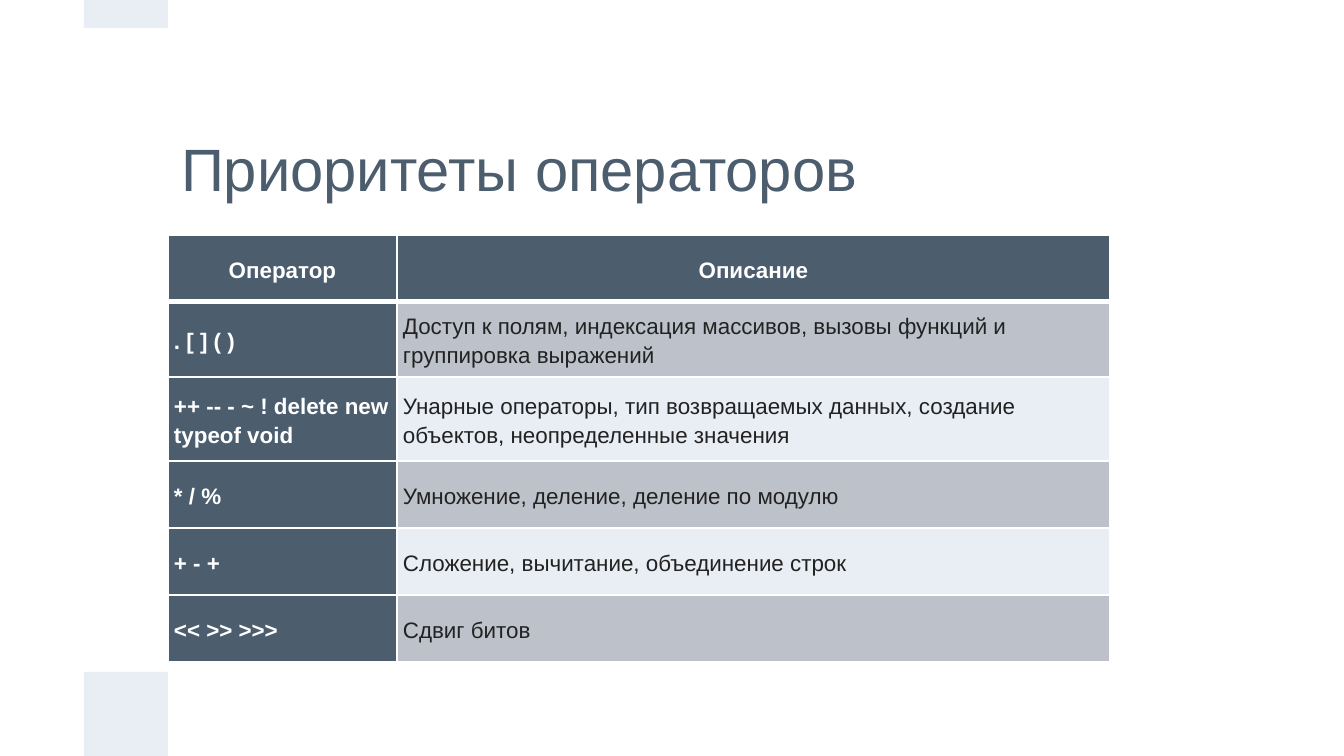
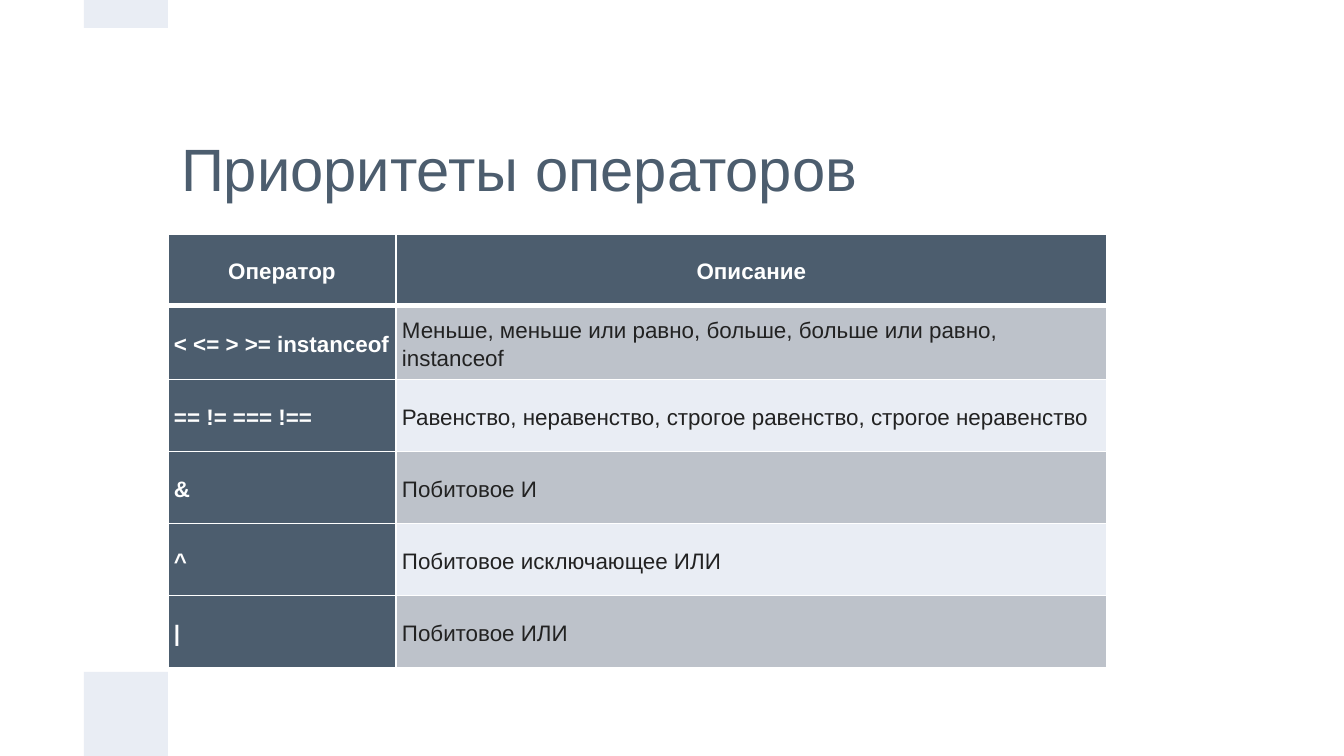
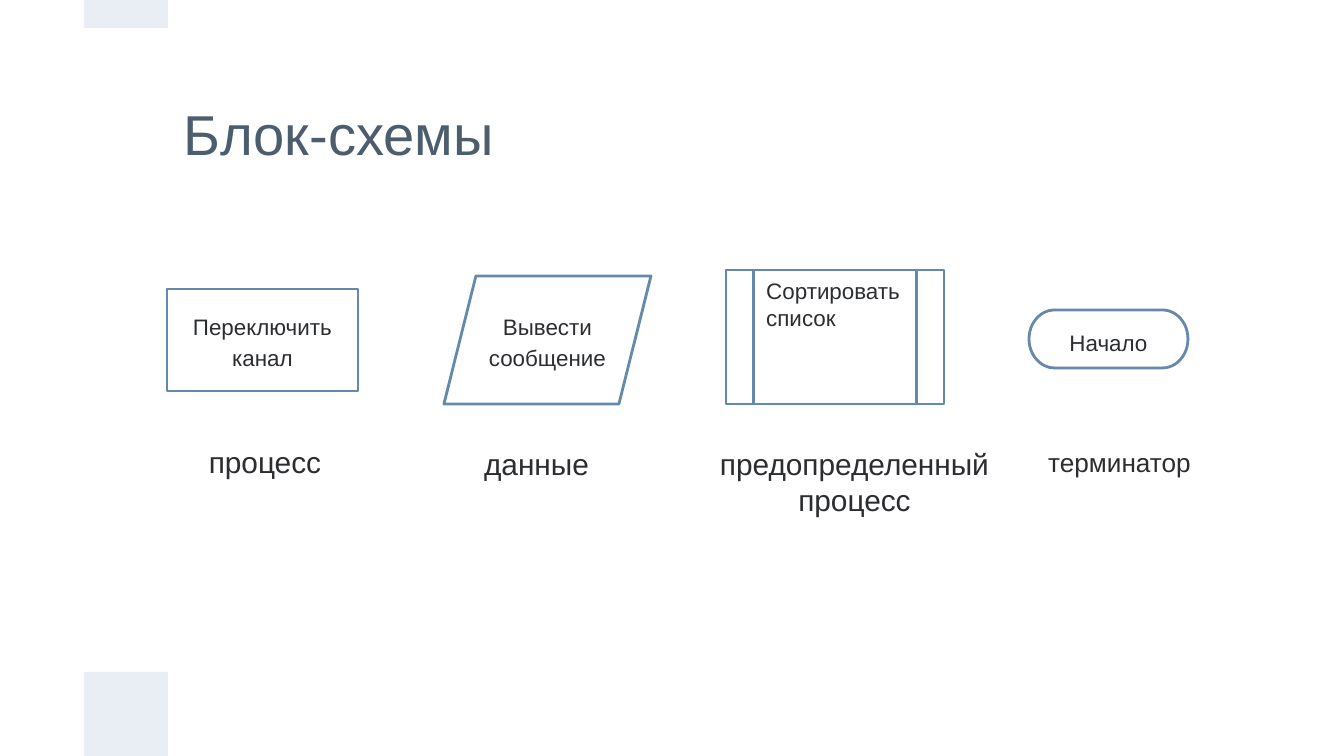
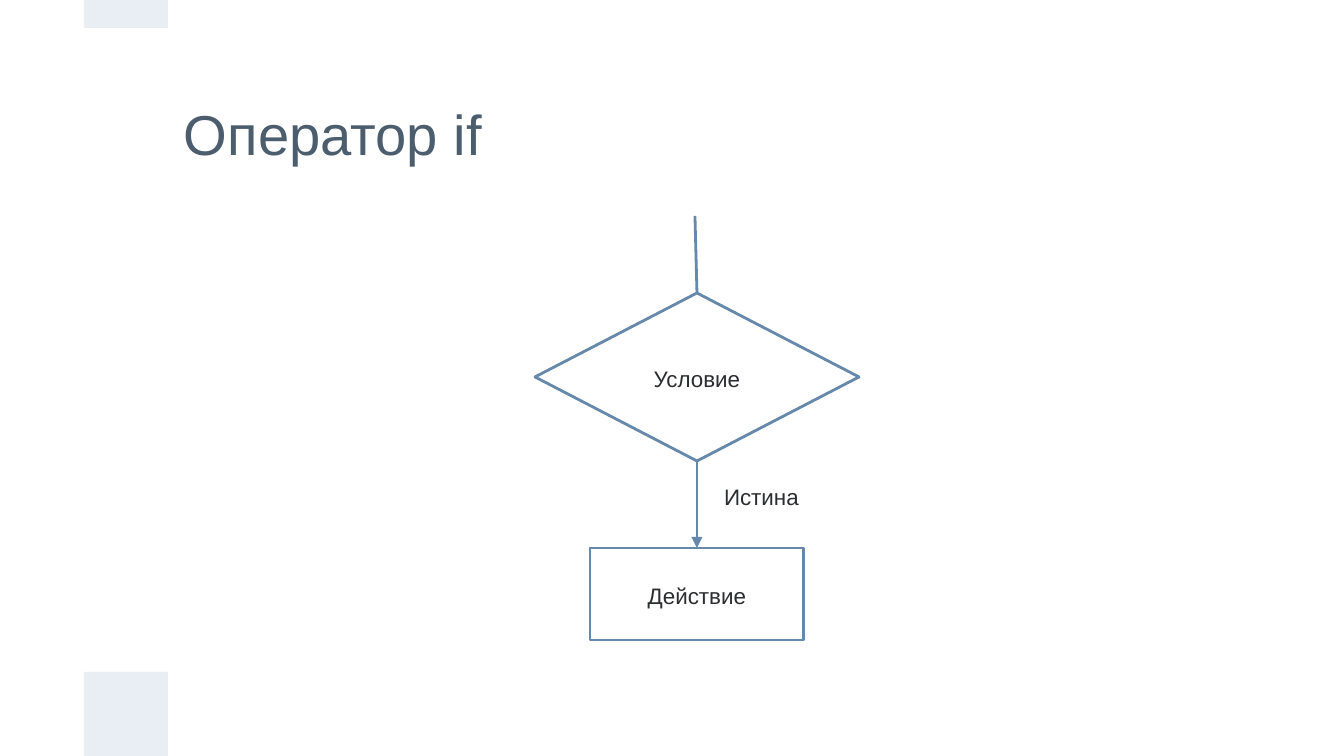
from dataclasses import dataclass

from lxml.etree import SubElement
from pptx import Presentation
from pptx.dml.color import RGBColor
from pptx.enum.shapes import MSO_CONNECTOR, MSO_SHAPE
from pptx.enum.text import MSO_ANCHOR, MSO_AUTO_SIZE, PP_ALIGN
from pptx.oxml.ns import qn
from pptx.util import Emu, Pt

EMU_PER_PX = 914400 / 134.4
TITLE_ONLY = 5
TOP, BOTTOM = 0, 2


def px(length):
    """Turn whole pixels into EMU."""
    return Emu(round(length * EMU_PER_PX))


def box(*lengths):
    """Turn left, top, width and height into EMU."""
    return [px(length) for length in lengths]


@dataclass(frozen=True)
class Theme:
    """Colours and type sizes of the deck."""

    font: str = "Arial"
    slate: str = "4C5D6E"
    pale: str = "E9EDF4"
    grey: str = "BDC2CA"
    white: str = "FFFFFF"
    outline: str = "6588AB"
    ink: str = "2C2D30"
    cell_ink: str = "222222"
    table_title: float = 32
    diagram_title: float = 30.1
    caption: float = 16
    small_caption: float = 14
    text: float = 12
    line: float = 1.5
    border: float = 1
    header_border: float = 3


class Deck:
    """Holds the style and the current slide."""

    def __init__(self, theme):
        """Set up a wide presentation."""
        self.theme = theme
        self.presentation = Presentation()
        self.presentation.slide_width = px(1344)
        self.presentation.slide_height = px(756)
        self.slide = None

    def add_slide(self):
        """Start a slide and give the master its bands the first time."""
        layout = self.presentation.slide_layouts[TITLE_ONLY]
        first = self.slide is None
        self.slide = self.presentation.slides.add_slide(layout)
        if first:
            self.master_band(672, 84, 20)
            self.master_band(0, 28, 21)

    def master_band(self, top, height, shape_id):
        """Place a pale band behind everything on the master."""
        band = self.slide.shapes.add_shape(MSO_SHAPE.RECTANGLE, *box(84, top, 84, height))
        band.shadow.inherit = False
        band.fill.solid()
        band.fill.fore_color.rgb = RGBColor.from_string(self.theme.pale)
        band.line.fill.background()
        band.element.nvSpPr.cNvPr.id = shape_id
        self.presentation.slide_master.shapes.element.insert(2, band.element)

    def add_text(self, frame, text, size, color, align=PP_ALIGN.LEFT, spacing=None, bold=False):
        """Add one formatted run to the first paragraph of a frame."""
        paragraph = frame.paragraphs[0]
        paragraph.alignment = align
        if spacing:
            paragraph.line_spacing = spacing
        run = paragraph.add_run()
        run.text = text
        run.font.name = self.theme.font
        run.font.size = Pt(size)
        run.font.bold = bold
        run.font.color.rgb = RGBColor.from_string(color)
        return paragraph

    def fit(self, frame, anchor, side, edge):
        """Set wrapping, anchor and insets of a frame."""
        frame.word_wrap = True
        frame.auto_size = MSO_AUTO_SIZE.NONE
        frame.vertical_anchor = anchor
        frame.margin_left = frame.margin_right = px(side)
        frame.margin_top = frame.margin_bottom = px(edge)

    def title(self, text, place, size, inset):
        """Move and fill the title placeholder."""
        title = self.slide.shapes.title
        title.left, title.top, title.width, title.height = box(*place)
        self.fit(title.text_frame, MSO_ANCHOR.MIDDLE, inset, inset)
        self.add_text(title.text_frame, text, size, self.theme.slate)

    def table_title(self, text):
        """Title a slide that holds a table."""
        self.title(text, (168, 84, 1008, 168), self.theme.table_title, 13)

    def diagram_title(self, text):
        """Title a slide that holds a diagram."""
        self.title(text, (167, 84, 1343, 98), self.theme.diagram_title, 17)

    def border(self, cell, side, width):
        """Draw one white border of a cell."""
        line = SubElement(cell._tc.get_or_add_tcPr(), qn(f"a:ln{side}"), w=str(Pt(width)))
        fill = SubElement(line, qn("a:solidFill"))
        SubElement(fill, qn("a:srgbClr"), val=self.theme.white)

    def cell(self, cell, text, row, column):
        """Fill and format one cell by its row and column."""
        theme = self.theme
        header = row == 0
        strong = header or column == 0
        cell.margin_left = cell.margin_right = px(6)
        cell.margin_top = cell.margin_bottom = px(8)
        cell.vertical_anchor = MSO_ANCHOR.MIDDLE
        for side in "LRTB" if header else "LRB":
            thick = header and side == "B"
            self.border(cell, side, theme.header_border if thick else theme.border)
        band = theme.grey if row % 2 else theme.pale
        cell.fill.solid()
        cell.fill.fore_color.rgb = RGBColor.from_string(theme.slate if strong else band)
        self.add_text(cell.text_frame, text, theme.text,
                      theme.white if strong else theme.cell_ink,
                      PP_ALIGN.CENTER if header else PP_ALIGN.LEFT, 1.15, strong)

    def table(self, top, widths, heights, operators):
        """Add a table of operators under a header row."""
        rows = [("Оператор", "Описание"), *operators]
        place = box(168, top, sum(widths), sum(heights))
        table = self.slide.shapes.add_table(len(rows), len(widths), *place).table
        for column, width in zip(table.columns, widths):
            column.width = px(width)
        for row, height in zip(table.rows, heights):
            row.height = px(height)
        for row, texts in enumerate(rows):
            for column, text in enumerate(texts):
                self.cell(table.cell(row, column), text, row, column)

    def block(self, kind, place, text, anchor=MSO_ANCHOR.MIDDLE,
              align=PP_ALIGN.CENTER, spacing=1.15):
        """Add an outlined flowchart block and return it with its paragraph."""
        block = self.slide.shapes.add_shape(kind, *box(*place))
        block.shadow.inherit = False
        block.fill.background()
        block.line.color.rgb = RGBColor.from_string(self.theme.outline)
        block.line.width = Pt(self.theme.line)
        self.fit(block.text_frame, anchor, 13, 7)
        paragraph = self.add_text(block.text_frame, text, self.theme.text,
                                  self.theme.ink, align, spacing)
        return block, paragraph

    def label(self, place, text, size, anchor=MSO_ANCHOR.TOP,
              align=PP_ALIGN.CENTER, spacing=None):
        """Add a plain text label."""
        label = self.slide.shapes.add_textbox(*box(*place))
        self.fit(label.text_frame, anchor, 13, 7)
        self.add_text(label.text_frame, text, size, self.theme.ink, align, spacing)

    def connector(self, start, end):
        """Add a straight line between two points."""
        connector = self.slide.shapes.add_connector(
            MSO_CONNECTOR.STRAIGHT, *box(*start, *end))
        connector.line.color.rgb = RGBColor.from_string(self.theme.outline)
        connector.line.width = Pt(self.theme.line)
        SubElement(connector.element.spPr, qn("a:effectLst"))
        return connector

    def arrow(self, start, end):
        """Point an arrow from the bottom of one block to the top of another."""
        arrow = self.connector((0, 0), (0, 0))
        arrow.begin_connect(end, TOP)
        arrow.end_connect(start, BOTTOM)
        SubElement(arrow.line._get_or_add_ln(), qn("a:headEnd"), type="triangle")


def add_priorities(deck, top, widths, heights, operators):
    """Build a slide with operator priorities."""
    deck.add_slide()
    deck.table_title("Приоритеты операторов")
    deck.table(top, widths, heights, operators)


def add_flowchart_blocks(deck):
    """Build the slide with the kinds of flowchart blocks."""
    theme = deck.theme
    deck.add_slide()
    deck.diagram_title("Блок-схемы")
    deck.block(MSO_SHAPE.RECTANGLE, (167, 289, 191, 102), "Переключить канал")
    deck.block(MSO_SHAPE.PARALLELOGRAM, (444, 276, 207, 128), "Вывести сообщение")
    _, sorting = deck.block(MSO_SHAPE.FLOWCHART_PREDEFINED_PROCESS, (726, 270, 218, 134),
                            "Сортировать список", MSO_ANCHOR.TOP, PP_ALIGN.LEFT, None)
    sorting.space_before = Pt(20)
    deck.block(MSO_SHAPE.FLOWCHART_TERMINATOR, (1029, 310, 159, 58), "Начало", MSO_ANCHOR.TOP)
    captions = [
        (167, 196, 46, "процесс", theme.caption, MSO_ANCHOR.MIDDLE),
        (457, 159, 46, "данные", theme.caption, MSO_ANCHOR.TOP),
        (698, 313, 77, "предопределенный процесс", theme.caption, MSO_ANCHOR.TOP),
        (1029, 181, 46, "терминатор", theme.small_caption, MSO_ANCHOR.TOP),
    ]
    for left, width, height, text, size, anchor in captions:
        deck.label((left, 439, width, height), text, size, anchor)


def add_if_operator(deck):
    """Build the slide with the if flowchart."""
    deck.add_slide()
    deck.diagram_title("Оператор if")
    entry = deck.connector((697, 293), (695, 216))
    condition, _ = deck.block(MSO_SHAPE.FLOWCHART_DECISION, (535, 293, 324, 168), "Условие")
    entry.begin_connect(condition, TOP)
    deck.label((711, 472, 106, 46), "Истина", deck.theme.text,
               align=PP_ALIGN.LEFT, spacing=1.15)
    action, _ = deck.block(MSO_SHAPE.RECTANGLE, (590, 548, 214, 92), "Действие")
    deck.arrow(condition, action)


def main():
    """Build and save the deck."""
    deck = Deck(Theme())
    add_priorities(deck, 235, (229, 713), (67, 75, 84, 67, 67, 67), [
        (". [ ] ( )", "Доступ к полям, индексация массивов, вызовы функций и группировка выражений"),
        ("++ -- - ~ ! delete new typeof void",
         "Унарные операторы, тип возвращаемых данных, создание объектов, неопределенные значения"),
        ("* / %", "Умножение, деление, деление по модулю"),
        ("+ - +", "Сложение, вычитание, объединение строк"),
        ("<< >> >>>", "Сдвиг битов"),
    ])
    add_priorities(deck, 234, (228, 711), (72,) * 6, [
        ("< <= > >= instanceof", "Меньше, меньше или равно, больше, больше или равно, instanceof"),
        ("== != === !==", "Равенство, неравенство, строгое равенство, строгое неравенство"),
        ("&", "Побитовое И"),
        ("^", "Побитовое исключающее ИЛИ"),
        ("|", "Побитовое ИЛИ"),
    ])
    add_flowchart_blocks(deck)
    add_if_operator(deck)
    deck.presentation.save("out.pptx")


if __name__ == "__main__":
    main()
